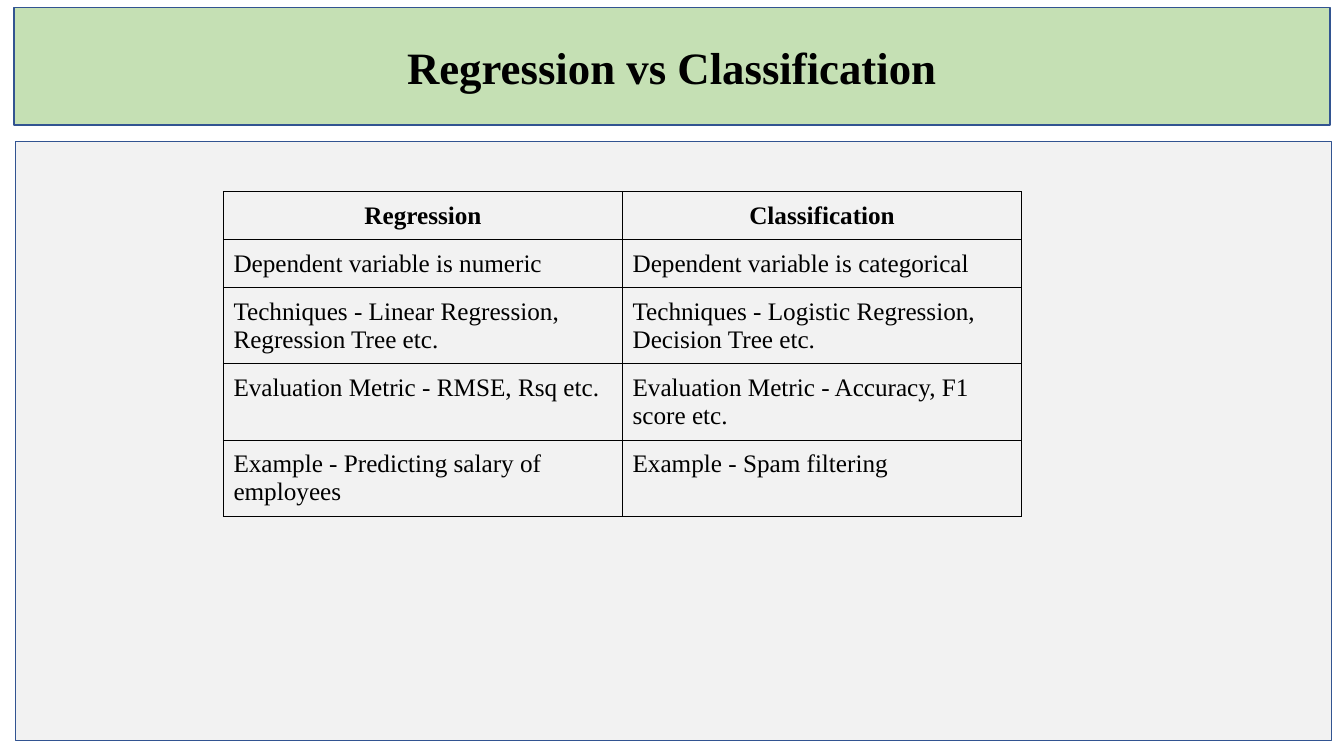
from dataclasses import dataclass

from lxml.etree import SubElement
from pptx import Presentation
from pptx.dml.color import RGBColor
from pptx.enum.shapes import MSO_SHAPE
from pptx.enum.text import MSO_ANCHOR, MSO_AUTO_SIZE, PP_ALIGN
from pptx.oxml.ns import qn
from pptx.util import Pt


@dataclass(frozen=True)
class Theme:
    font: str = "Times New Roman"
    title_size: int = 32
    body_size: int = 18
    text: str = "000000"
    banner: str = "C5E0B4"
    panel: str = "F2F2F2"
    outline: str = "325491"
    border: str = "000000"


THEME = Theme()
TITLE = "Regression vs Classification"
COMPARISON = [
    ("Regression", "Classification"),
    ("Dependent variable is numeric", "Dependent variable is categorical"),
    ("Techniques - Linear Regression, Regression Tree etc.",
     "Techniques - Logistic Regression, Decision Tree etc."),
    ("Evaluation Metric - RMSE, Rsq etc.",
     "Evaluation Metric - Accuracy, F1 score etc."),
    ("Example - Predicting salary of employees", "Example - Spam filtering"),
]
ROW_HEIGHTS = [34.2, 34.2, 54.4, 54.4, 54.4]
COLUMN_WIDTH = 285.1
CELL_MARGIN = 7.2


def write(tf, text, size=THEME.body_size, bold=False, align=PP_ALIGN.LEFT):
    p = tf.paragraphs[0]
    p.alignment = align
    p.line_spacing = 1.0
    r = p.add_run()
    r.text = text
    r.font.name = THEME.font
    r.font.size = Pt(size)
    r.font.bold = bold
    r.font.color.rgb = RGBColor.from_string(THEME.text)


def paint(sp, fill):
    sp.fill.solid()
    sp.fill.fore_color.rgb = RGBColor.from_string(fill)
    sp.line.color.rgb = RGBColor.from_string(THEME.outline)
    sp.line.width = Pt(1)


def add_banner(slide, text, left, top, width, height):
    sp = slide.shapes.title
    sp.left, sp.top, sp.width, sp.height = map(Pt, (left, top, width, height))
    paint(sp, THEME.banner)
    tf = sp.text_frame
    tf.auto_size = MSO_AUTO_SIZE.NONE
    tf.vertical_anchor = MSO_ANCHOR.MIDDLE
    write(tf, text, size=THEME.title_size, bold=True, align=PP_ALIGN.CENTER)


def add_panel(slide, left, top, width, height):
    sp = slide.shapes.add_shape(MSO_SHAPE.RECTANGLE, *map(Pt, (left, top, width, height)))
    sp.shadow.inherit = False
    paint(sp, THEME.panel)


def add_borders(cell):
    tc_pr = cell._tc.get_or_add_tcPr()
    for side in ("lnL", "lnR", "lnT", "lnB"):
        ln = SubElement(tc_pr, qn(f"a:{side}"), w=str(Pt(0.75)))
        fill = SubElement(ln, qn("a:solidFill"))
        SubElement(fill, qn("a:srgbClr"), val=THEME.border)


def add_comparison(slide, rows, left, top):
    columns = len(rows[0])
    frame = slide.shapes.add_table(len(rows), columns, Pt(left), Pt(top),
                                   Pt(columns * COLUMN_WIDTH), Pt(sum(ROW_HEIGHTS)))
    table = frame.table
    table.horz_banding = False
    for column in table.columns:
        column.width = Pt(COLUMN_WIDTH)
    for i, texts in enumerate(rows):
        table.rows[i].height = Pt(ROW_HEIGHTS[i])
        header = i == 0
        for j, text in enumerate(texts):
            cell = table.cell(i, j)
            cell.margin_left = cell.margin_right = Pt(CELL_MARGIN)
            cell.margin_top = cell.margin_bottom = Pt(CELL_MARGIN)
            add_borders(cell)
            cell.fill.background()
            write(cell.text_frame, text, bold=header,
                  align=PP_ALIGN.CENTER if header else PP_ALIGN.LEFT)


def main():
    prs = Presentation()
    prs.slide_width, prs.slide_height = Pt(960), Pt(540)
    slide = prs.slides.add_slide(prs.slide_layouts[5])
    add_banner(slide, TITLE, 10, 5.4, 940, 84)
    add_panel(slide, 11.2, 101.2, 940, 427.7)
    add_comparison(slide, COMPARISON, 159.6, 136.8)
    prs.save("out.pptx")


if __name__ == "__main__":
    main()
